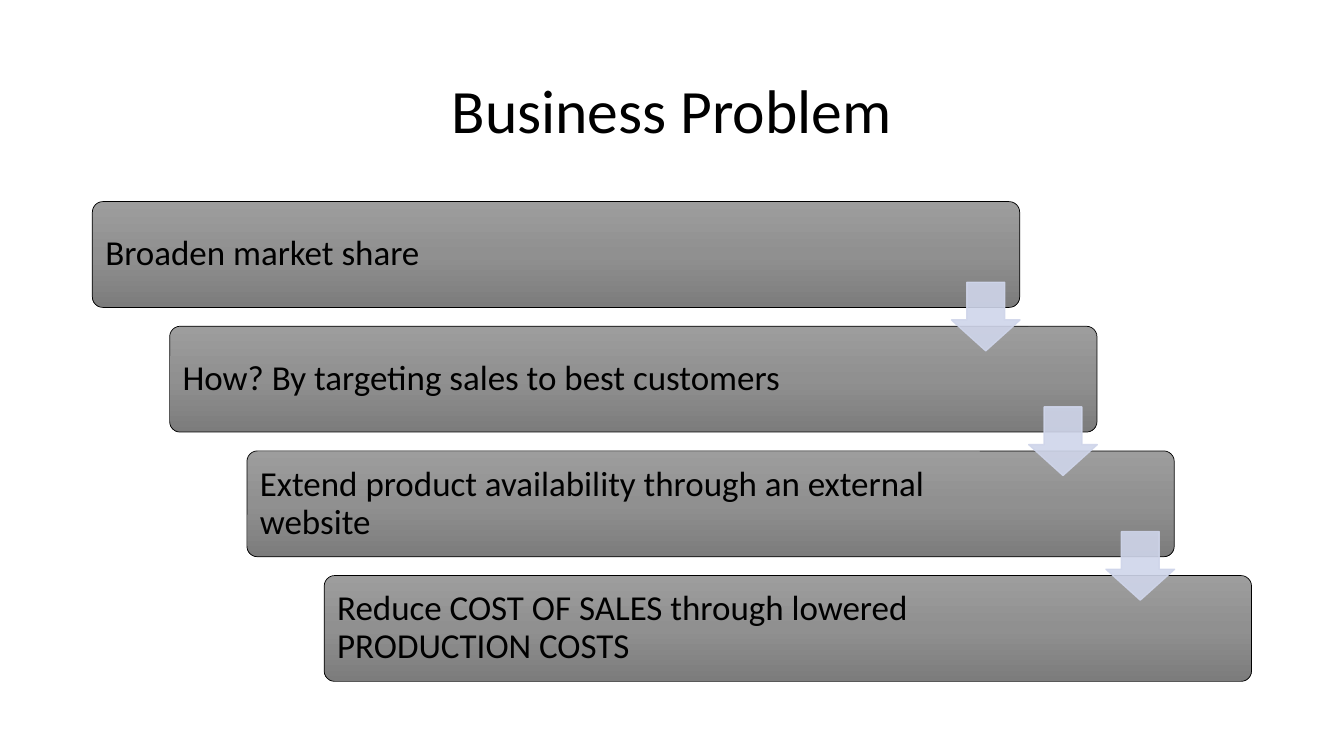
"""Build the Business Problem slide: four staggered steps joined by arrows."""
from copy import deepcopy

from lxml import etree
from pptx import Presentation
from pptx.dml.color import RGBColor
from pptx.enum.shapes import MSO_SHAPE
from pptx.enum.text import MSO_ANCHOR, PP_ALIGN
from pptx.oxml.ns import qn
from pptx.util import Pt

BAR, ARROW = MSO_SHAPE.ROUNDED_RECTANGLE, MSO_SHAPE.DOWN_ARROW
MIDDLE, LEFT, CENTER = MSO_ANCHOR.MIDDLE, PP_ALIGN.LEFT, PP_ALIGN.CENTER

COLORS = {
    "text": "000000",
    "bar_top": "9D9D9D",
    "bar_middle": "909090",
    "bar_bottom": "7C7C7C",
    "arrow": "CFD5EA",
}
STEPS = [
    "Broaden market share",
    "How? By targeting sales to best customers",
    "Extend product availability through an external website",
    "Reduce COST OF SALES through lowered PRODUCTION COSTS",
]
STEP_X, STEP_Y = 55.2, 89.04


def rgb(name):
    return RGBColor.from_string(COLORS[name])


class SlideBuilder:
    def __init__(self, prs, font="Calibri"):
        self.font = font
        self.slide = prs.slides.add_slide(prs.slide_layouts[5])

    def set_text(self, sp, text, size, align):
        tf = sp.text_frame
        tf.word_wrap = True
        tf.vertical_anchor = MIDDLE
        p = tf.paragraphs[0]
        p.text = text
        p.alignment = align
        p.line_spacing = 0.9
        p.font.name = self.font
        p.font.size = Pt(size)
        p.font.color.rgb = rgb("text")
        return tf

    def title(self, text, x, y, w, h):
        sp = self.slide.shapes.title
        sp.left, sp.top, sp.width, sp.height = Pt(x), Pt(y), Pt(w), Pt(h)
        self.set_text(sp, text, 44, CENTER)

    def shape(self, kind, x, y, w, h, adjustments):
        sp = self.slide.shapes.add_shape(kind, Pt(x), Pt(y), Pt(w), Pt(h))
        sp.shadow.inherit = False
        for i, value in enumerate(adjustments):
            sp.adjustments[i] = value
        return sp

    def bar(self, text, x, y, w, h):
        sp = self.shape(BAR, x, y, w, h, [0.1])
        sp.fill.gradient()
        sp.fill.gradient_angle = 270
        first = sp._element.spPr.find(".//" + qn("a:gs"))
        first.addnext(deepcopy(first))
        names = ("bar_top", "bar_middle", "bar_bottom")
        for i, (stop, name) in enumerate(zip(sp.fill.gradient_stops, names)):
            stop.position = i / 2
            stop.color.rgb = rgb(name)
        sp.line.color.rgb = rgb("text")
        sp.line.width = Pt(0.5)
        tf = self.set_text(sp, text, 25, LEFT)
        tf.margin_left, tf.margin_right = Pt(7.2), Pt(113)

    def arrow(self, x, y, size):
        sp = self.shape(ARROW, x, y, size, size, [0.55, 0.45])
        sp.fill.solid()
        sp.fill.fore_color.rgb = rgb("arrow")
        sp.line.color.rgb = rgb("arrow")
        sp.line.width = Pt(1)
        for color in sp._element.spPr.iter(qn("a:srgbClr")):
            etree.SubElement(color, qn("a:alpha"), val="90000")


def main():
    prs = Presentation()
    prs.slide_width, prs.slide_height = Pt(960), Pt(540)
    s = SlideBuilder(prs)
    s.title("Business Problem", 66, 28.8, 828, 104.4)
    for i, text in enumerate(STEPS):
        s.bar(text, 66 + i * STEP_X, 144 + i * STEP_Y, 662.4, 75.6)
    for i in range(len(STEPS) - 1):
        s.arrow(679.6 + i * STEP_X, 201.6 + i * STEP_Y, 49)
    prs.save("out.pptx")


if __name__ == "__main__":
    main()
